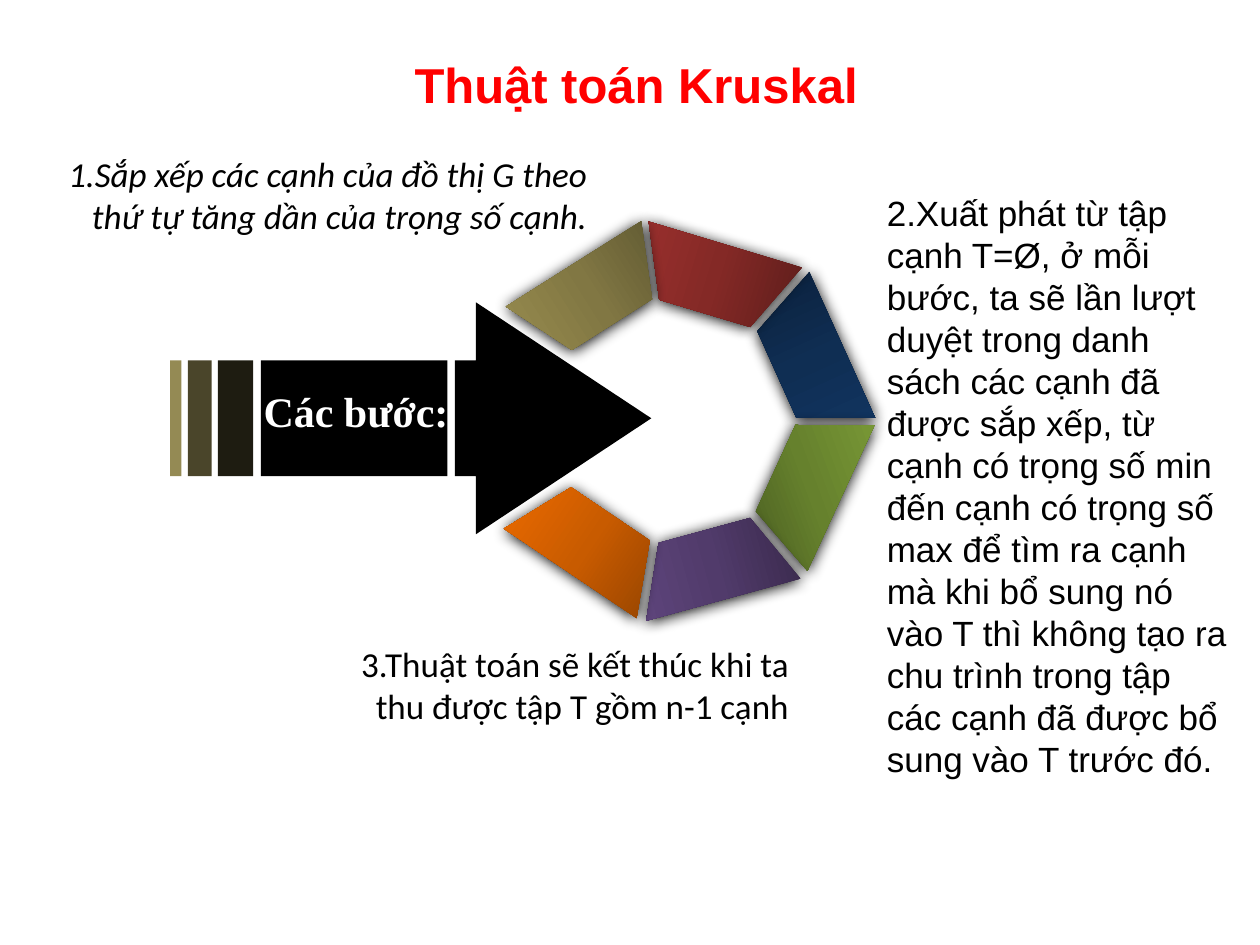
from copy import deepcopy
from dataclasses import dataclass

from lxml import etree
from pptx import Presentation
from pptx.dml.color import RGBColor
from pptx.enum.shapes import MSO_SHAPE
from pptx.enum.text import MSO_ANCHOR, MSO_AUTO_SIZE, PP_ALIGN
from pptx.oxml.ns import qn
from pptx.util import Inches, Pt

TRAPEZOID, ARROW, RECT = MSO_SHAPE.TRAPEZOID, MSO_SHAPE.RIGHT_ARROW, MSO_SHAPE.RECTANGLE
LEFT, CENTER, RIGHT = PP_ALIGN.LEFT, PP_ALIGN.CENTER, PP_ALIGN.RIGHT
TOP = MSO_ANCHOR.TOP
FIT_SHAPE, NO_FIT = MSO_AUTO_SIZE.SHAPE_TO_FIT_TEXT, MSO_AUTO_SIZE.NONE
TITLE_ONLY = 5


@dataclass
class Segment:
    left: float
    top: float
    rotation: float
    colors: tuple[str, str, str]
    mirrored: bool = False
    angle: float = 0


@dataclass
class Bar:
    left: float
    width: float
    color: str


@dataclass
class Label:
    box: tuple[float, float, float, float]
    text: str
    size: float
    font: str
    color: str = "000000"
    align: PP_ALIGN = LEFT
    bold: bool = False
    italic: bool = False


SEGMENTS = [
    Segment(5.79, 2.57, 65.7, ("0B203B", "0F2E53", "123663")),
    Segment(5.78, 3.55, 114.7, ("485B20", "66812D", "799936"), angle=135),
    Segment(5.03, 4.2, 164.7, ("39294B", "513B6B", "60467E")),
    Segment(4.05, 4.03, 214, ("8D4000", "C85B00", "EE6B00")),
    Segment(5.04, 1.93, 16.7, ("5D1D1B", "842926", "9C302E"), mirrored=True),
    Segment(4.07, 2.05, 327.7, ("5A542F", "817743", "998D4F"), mirrored=True),
]
BARS = [
    Bar(2.07, 1.48, "000000"),
    Bar(1.73, 0.28, "1E1C11"),
    Bar(1.49, 0.19, "4A452A"),
    Bar(1.35, 0.09, "948A54"),
]
TITLE = Label((3.19, 0.38, 4.41, 0.57), "Thuật toán Kruskal", 28, "Arial", "FF0000", bold=True)
LABELS = [
    Label((0.43, 1.16, 4.33, 0.77),
          "1.Sắp xếp các cạnh của đồ thị G theo thứ tự tăng dần của trọng số cạnh.",
          20, "Calibri", align=RIGHT, italic=True),
    Label((1.9, 3.01, 1.85, 0.51), "Các bước:", 24, "Times New Roman", "FFFFFF",
          CENTER, bold=True),
    Label((2.64, 5.05, 3.72, 0.77),
          "3.Thuật toán sẽ kết thúc khi ta thu được tập T gồm n-1 cạnh",
          20, "Calibri", align=RIGHT),
    Label((6.94, 1.47, 2.94, 4.81),
          "2.Xuất phát từ tập cạnh T=Ø, ở mỗi bước, ta sẽ lần lượt duyệt trong danh sách "
          "các cạnh đã được sắp xếp, từ cạnh có trọng số min đến cạnh có trọng số max để "
          "tìm ra cạnh mà khi bổ sung nó vào T thì không tạo ra chu trình trong tập các "
          "cạnh đã được bổ sung vào T trước đó.",
          20, "Arial"),
]


def rgb(color: str) -> RGBColor:
    """Return the colour for a hex string."""
    return RGBColor.from_string(color)


def add_plain(slide, kind, left: float, top: float, width: float, height: float):
    """Add a preset shape without outline or shadow."""
    sp = slide.shapes.add_shape(kind, Inches(left), Inches(top), Inches(width), Inches(height))
    sp.shadow.inherit = False
    sp.line.fill.background()
    return sp


def set_solid(sp, color: str) -> None:
    """Fill a shape with one colour."""
    sp.fill.solid()
    sp.fill.fore_color.rgb = rgb(color)


def set_gradient(sp, colors: tuple[str, str, str], angle: float) -> None:
    """Fill a shape with three evenly spaced gradient stops."""
    sp.fill.gradient()
    stop_list = sp.element.spPr.find(".//" + qn("a:gsLst"))
    stop_list.insert(1, deepcopy(stop_list[0]))
    for i, (stop, color) in enumerate(zip(sp.fill.gradient_stops, colors)):
        stop.position = i / 2
        stop.color.rgb = rgb(color)
    sp.fill.gradient_angle = -angle % 360


def add_shadow(sp) -> None:
    """Give a shape a soft black shadow below it."""
    effects = sp.element.spPr.find(qn("a:effectLst"))
    shadow = etree.SubElement(effects, qn("a:outerShdw"), blurRad=str(Pt(8.5)),
                              dist=str(Pt(1)), dir="5400000", algn="ctr", rotWithShape="0")
    etree.SubElement(shadow, qn("a:srgbClr"), val="000000")


def add_segment(slide, seg: Segment) -> None:
    """Draw one trapezoid of the ring."""
    sp = add_plain(slide, TRAPEZOID, seg.left, seg.top, 1.27, 0.57)
    sp.adjustments[0] = 0.453
    sp.rotation = seg.rotation
    xfrm = sp.element.spPr.find(qn("a:xfrm"))
    xfrm.set("flipV", "1")
    if seg.mirrored:
        xfrm.set("flipH", "1")
    set_gradient(sp, seg.colors, seg.angle)
    add_shadow(sp)


def write(sp, label: Label, auto_size: MSO_AUTO_SIZE) -> None:
    """Place a text shape and write its formatted text."""
    sp.left, sp.top, sp.width, sp.height = map(Inches, label.box)
    tf = sp.text_frame
    tf.word_wrap = True
    tf.auto_size = auto_size
    tf.vertical_anchor = TOP
    p = tf.paragraphs[0]
    p.text = label.text
    p.alignment = label.align
    p.font.size = Pt(label.size)
    p.font.name = label.font
    p.font.bold = label.bold
    p.font.italic = label.italic
    p.font.color.rgb = rgb(label.color)


def main() -> None:
    """Build the slide and save it."""
    prs = Presentation()
    prs.slide_width, prs.slide_height = Inches(10), Inches(7.5)
    slide = prs.slides.add_slide(prs.slide_layouts[TITLE_ONLY])
    write(slide.shapes.title, TITLE, NO_FIT)
    for seg in SEGMENTS:
        add_segment(slide, seg)
    arrow = add_plain(slide, ARROW, 3.61, 2.4, 1.56, 1.84)
    arrow.adjustments[0], arrow.adjustments[1] = 0.5, 0.892
    set_solid(arrow, "000000")
    for bar in BARS:
        set_solid(add_plain(slide, RECT, bar.left, 2.86, bar.width, 0.92), bar.color)
    for label in LABELS:
        write(slide.shapes.add_textbox(*map(Inches, label.box)), label, FIT_SHAPE)
    prs.save("out.pptx")


main()
